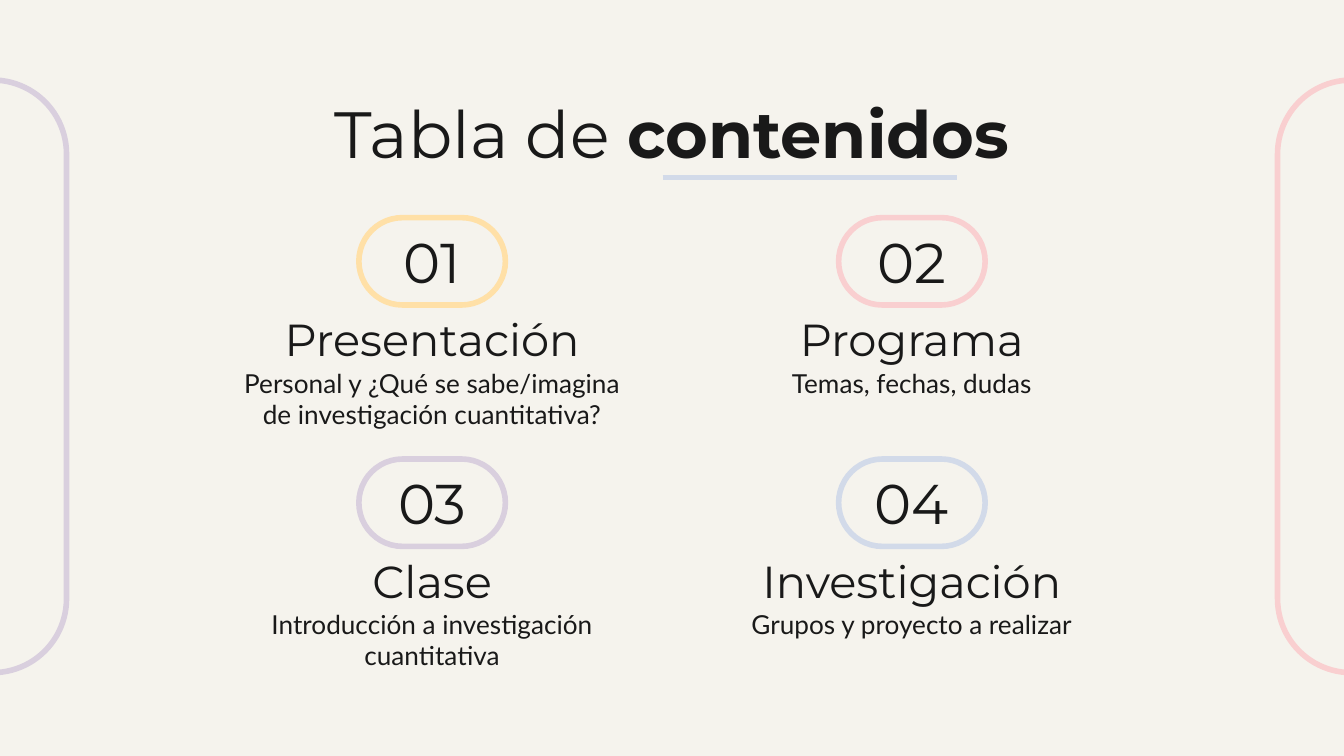
"""Build the table of contents slide with four numbered sections."""
from pptx import Presentation
from pptx.dml.color import RGBColor
from pptx.enum.shapes import MSO_CONNECTOR, MSO_SHAPE
from pptx.enum.text import MSO_ANCHOR, PP_ALIGN
from pptx.util import Pt
from lxml.etree import SubElement
from pptx.oxml.ns import qn

COLORS = {
    "paper": "F5F3ED",
    "ink": "191919",
    "yellow": "FFE0A7",
    "pink": "F9CFD0",
    "lilac": "D9CFDE",
    "blue": "D2DAE9",
}
STYLES = {
    "title": {"name": "Montserrat", "size": Pt(35)},
    "number": {"name": "Montserrat", "size": Pt(30)},
    "heading": {"name": "Montserrat", "size": Pt(24)},
    "detail": {"name": "Lato", "size": Pt(14)},
}
SECTIONS = [
    ("Presentación", "Personal y ¿Qué se sabe/imagina de investigación cuantitativa?", "yellow"),
    ("Programa", "Temas, fechas, dudas", "pink"),
    ("Clase", "Introducción a investigación cuantitativa", "lilac"),
    ("Investigación", "Grupos y proyecto a realizar", "blue"),
]
COLUMN_CENTERS = (231.5, 488.5)
ROW_TOP, ROW_PITCH = 116.6, 129.3

prs = Presentation()
prs.slide_width, prs.slide_height = Pt(720), Pt(405)
slide = prs.slides.add_slide(prs.slide_layouts[6])
slide.background.fill.solid()
slide.background.fill.fore_color.rgb = RGBColor.from_string(COLORS["paper"])


def add_pill(center_x, top, width, height, color):
    pill = slide.shapes.add_shape(
        MSO_SHAPE.ROUNDED_RECTANGLE, Pt(center_x - width / 2), Pt(top), Pt(width), Pt(height))
    pill.adjustments[0] = 0.5
    pill.shadow.inherit = False
    pill.fill.background()
    pill.line.color.rgb = RGBColor.from_string(COLORS[color])
    pill.line.width = Pt(3)
    return pill


def add_label(center_x, top, width, height, runs, style, anchor=MSO_ANCHOR.TOP):
    label = slide.shapes.add_textbox(Pt(center_x - width / 2), Pt(top), Pt(width), Pt(height))
    frame_format = {
        "word_wrap": True, "vertical_anchor": anchor,
        "margin_left": Pt(7.2), "margin_right": Pt(7.2),
        "margin_top": Pt(7.2), "margin_bottom": Pt(7.2),
    }
    for attribute, value in frame_format.items():
        setattr(label.text_frame, attribute, value)
    paragraph = label.text_frame.paragraphs[0]
    paragraph.alignment = PP_ALIGN.CENTER
    for text, bold in runs:
        run = paragraph.add_run()
        run.text = text
        for attribute, value in {**STYLES[style], "bold": bold}.items():
            setattr(run.font, attribute, value)
        run.font.color.rgb = RGBColor.from_string(COLORS["ink"])


for center_x, color in ((-4, "lilac"), (724, "pink")):
    side_frame = add_pill(center_x, 162, 317.5, 79.2, color)
    side_frame.rotation = 90

add_label(360, 42.5, 607, 45.4, [("Tabla de ", False), ("contenidos", True)], "title")
underline = slide.shapes.add_connector(MSO_CONNECTOR.STRAIGHT, Pt(355), Pt(95.2), Pt(512.6), Pt(95.2))
underline.line.color.rgb = RGBColor.from_string(COLORS["blue"])
underline.line.width = Pt(3)
SubElement(underline._element.spPr, qn("a:effectLst"))

for index, (heading, detail, color) in enumerate(SECTIONS):
    row, column = divmod(index, 2)
    center_x = COLUMN_CENTERS[column]
    top = ROW_TOP + row * ROW_PITCH
    add_pill(center_x, top, 78.5, 46.8, color)
    add_label(center_x, top - 2, 55.4, 46.8, [(f"{index + 1:02}", False)], "number")
    add_label(center_x, top + 44.7, 223.2, 41.8, [(heading, False)], "heading", MSO_ANCHOR.BOTTOM)
    add_label(center_x, top + 72.8, 223.2, 38.2, [(detail, False)], "detail")

prs.save("out.pptx")
